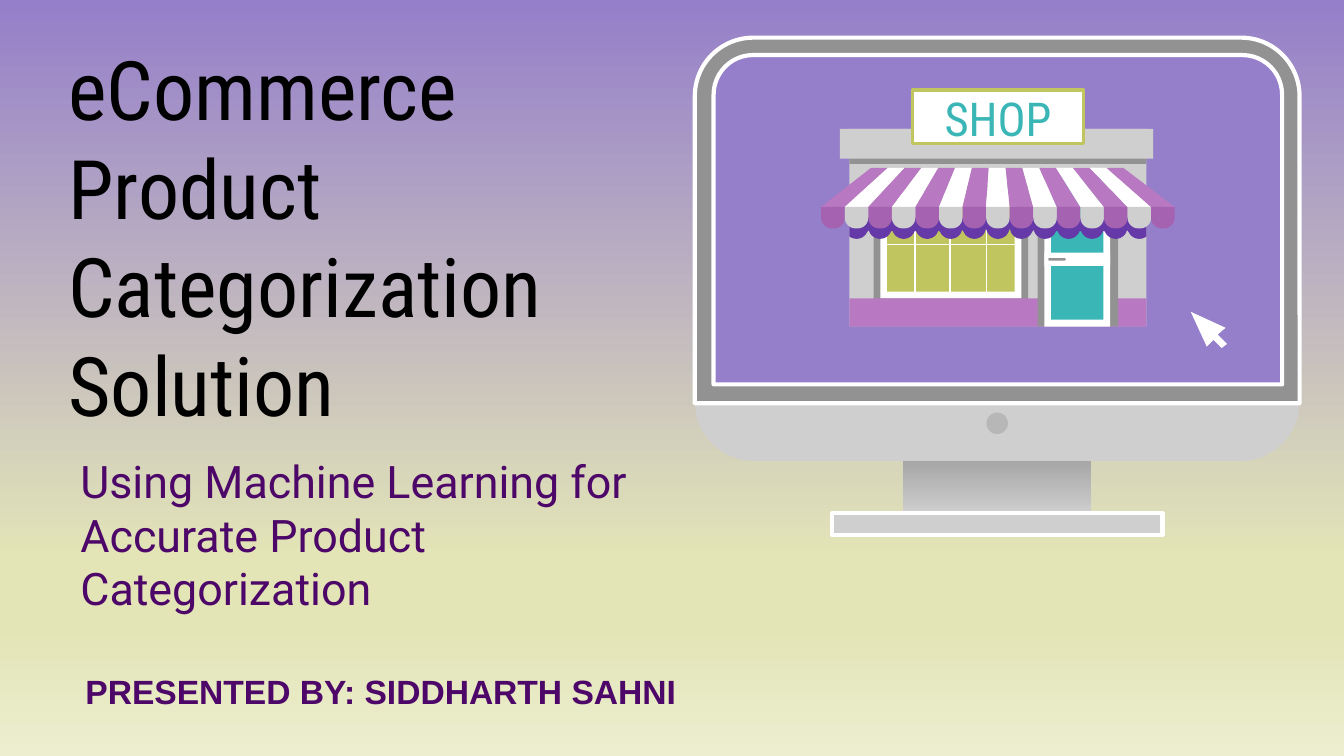
import copy
import math

import pptx
import pptx.dml.color
import pptx.enum.shapes
import pptx.enum.text
import pptx.oxml.ns
import pptx.util
from pptx.util import Inches

SHAPE = pptx.enum.shapes.MSO_SHAPE
ALIGN = pptx.enum.text.PP_ALIGN
ANCHOR = pptx.enum.text.MSO_ANCHOR

WHITE, SILVER, GRAY = "FFFFFF", "CFCFCF", "929292"
LAVENDER, ORCHID, PLUM, VIOLET = "957FCA", "B878C2", "A562B0", "6639A8"
TEAL, OLIVE, INK = "39B6B5", "C0C55F", "4C0768"

BACKGROUND = [(0, LAVENDER), (0.74, "E3E5B7"), (0.83, "E3E5B7"), (1, "ECEECF")]
STAND = [(0, "919191"), (1, "DDDDDD")]

TEXTS = [
    ("eCommerce Product Categorization Solution", (0.41, 0.28, 4.61, 2.95),
     "Roboto Condensed", 44, "000000", False, ALIGN.LEFT, ANCHOR.MIDDLE, 0.1),
    ("Using Machine Learning for Accurate Product Categorization", (0.5, 3.38, 4.5, 1.19),
     "Roboto", 24, INK, False, ALIGN.LEFT, ANCHOR.MIDDLE, 0.1),
    ("SHOP", (6.78, 0.68, 1.29, 0.39),
     "Roboto Condensed", 25, TEAL, False, ALIGN.CENTER, ANCHOR.MIDDLE, 0.1),
    ("PRESENTED BY: SIDDHARTH SAHNI", (0.5, 4.94, 4.67, 0.4),
     "Arial", 18, INK, True, ALIGN.CENTER, ANCHOR.TOP, 0.05),
]

MONITOR = [
    (SHAPE.RECTANGLE, (6.19, 3.82, 2.46, 0.16), SILVER, (WHITE, 2.25), ()),
    (SHAPE.ROUNDED_RECTANGLE, (5.17, 0.28, 4.5, 3.15), SILVER, None, (0.14,)),
    (SHAPE.ROUND_2_SAME_RECTANGLE, (5.17, 0.28, 4.5, 2.72), GRAY, (WHITE, 2.25), (0.16, 0)),
    (SHAPE.ROUND_2_SAME_RECTANGLE, (5.31, 0.41, 4.23, 2.45), LAVENDER, (WHITE, 2.25), (0.12, 0)),
    (SHAPE.OVAL, (7.34, 3.07, 0.16, 0.16), "B7B7B7", None, ()),
]
WALL_AND_WINDOW = [
    ((6.32, 0.96, 2.21, 1.47), SILVER),
    ((6.5, 1.38, 1.15, 0.89), GRAY),
    ((6.55, 1.43, 1.05, 0.79), WHITE),
    ((6.6, 1.48, 0.95, 0.69), OLIVE),
]
WINDOW_BARS = [(6.57, 1.82, 7.58, 1.82)] + [(x, 1.4, x, 2.2) for x in (6.81, 7.07, 7.34)]
BASE_AND_DOOR = [
    ((6.32, 2.22, 2.21, 0.21), ORCHID),
    ((7.72, 1.27, 0.6, 1.16), GRAY),
    ((7.77, 1.25, 0.49, 1.18), WHITE),
    ((7.82, 1.31, 0.39, 1.07), TEAL),
]
DOOR_RAIL = (7.77, 1.88, 0.49, 0.1)
DOOR_HANDLE = (7.8, 1.92, 0.13, 0.02)
ROOF = [((6.32, 1.04, 2.21, 0.18), GRAY), ((6.25, 0.96, 2.33, 0.22), SILVER)]
SIGN = (6.79, 0.67, 1.27, 0.4)
CURSOR = [(8.86, 2.32), (8.98, 2.58), (9.03, 2.53), (9.09, 2.59),
          (9.13, 2.56), (9.06, 2.49), (9.12, 2.44)]

STRIPES = 15
AWNING_TOP, AWNING_EDGE, FLAP_HEIGHT = 1.25, 1.54, 0.16
TOP_LEFT, TOP_RIGHT, EDGE_LEFT, EDGE_RIGHT = 6.48, 8.36, 6.11, 8.74

presentation = pptx.Presentation()
presentation.slide_width = Inches(10)
presentation.slide_height = Inches(10) * 9 // 16
slide = presentation.slides.add_slide(presentation.slide_layouts[6])


def color(value):
    return pptx.dml.color.RGBColor.from_string(value)


def paint_gradient(fill, element, stops):
    fill.gradient()
    fill.gradient_angle = 270
    stop_list = next(element.iter(pptx.oxml.ns.qn("a:gsLst")))
    for _ in stops[2:]:
        stop_list.append(copy.deepcopy(stop_list[0]))
    for stop, (position, value) in zip(fill.gradient_stops, stops):
        stop.position = position
        stop.color.rgb = color(value)


def paint(shape, fill, line=None):
    shape.shadow.inherit = False
    shape.fill.solid()
    shape.fill.fore_color.rgb = color(fill)
    if line:
        shape.line.color.rgb = color(line[0])
        shape.line.width = pptx.util.Pt(line[1])
    else:
        shape.line.fill.background()


def add_preset(kind, box, fill, line=None, adjustments=()):
    shape = slide.shapes.add_shape(kind, *map(Inches, box))
    for index, value in enumerate(adjustments):
        shape.adjustments[index] = value
    paint(shape, fill, line)
    return shape


def add_rectangles(rectangles):
    for box, fill in rectangles:
        add_preset(SHAPE.RECTANGLE, box, fill)


def add_polygon(points, fill):
    corners = [(Inches(x), Inches(y)) for x, y in points]
    builder = slide.shapes.build_freeform(*corners[0])
    builder.add_line_segments(corners[1:], close=True)
    paint(builder.convert_to_shape(), fill)


def add_bar(x1, y1, x2, y2):
    bar = slide.shapes.add_connector(
        pptx.enum.shapes.MSO_CONNECTOR.STRAIGHT, *map(Inches, (x1, y1, x2, y2)))
    bar.line.color.rgb = color(WHITE)
    bar.line.width = pptx.util.Pt(0.85)
    properties = bar.element.spPr
    properties.append(properties.makeelement(pptx.oxml.ns.qn("a:effectLst"), {}))


def add_text(text, box, font, size, fill, bold, align, anchor, inset):
    frame = slide.shapes.add_textbox(*map(Inches, box)).text_frame
    frame.word_wrap = True
    frame.vertical_anchor = anchor
    frame.margin_left = frame.margin_right = Inches(0.1)
    frame.margin_top = frame.margin_bottom = Inches(inset)
    paragraph = frame.paragraphs[0]
    paragraph.alignment = align
    run = paragraph.add_run()
    run.text = text
    run.font.name = font
    run.font.size = pptx.util.Pt(size)
    run.font.bold = bold
    run.font.color.rgb = color(fill)


def add_awning_shadow(left=6.32, right=8.53, top=1.62, middle=1.69, steps=200):
    width = (EDGE_RIGHT - EDGE_LEFT) / STRIPES
    radius = width / 2
    points = [(right, top), (left, top)]
    for step in range(steps + 1):
        x = left + (right - left) * step / steps
        offset = (x - EDGE_LEFT) % width - radius
        points.append((x, middle + math.sqrt(max(0, radius ** 2 - offset ** 2))))
    add_polygon(points, VIOLET)


def add_awning():
    top_step = (TOP_RIGHT - TOP_LEFT) / STRIPES
    edge_step = (EDGE_RIGHT - EDGE_LEFT) / STRIPES
    for index in range(STRIPES):
        top = TOP_LEFT + index * top_step
        edge = EDGE_LEFT + index * edge_step
        stripe, flap = (WHITE, SILVER) if index % 2 else (ORCHID, PLUM)
        add_polygon([(top, AWNING_TOP), (edge, AWNING_EDGE),
                     (edge + edge_step, AWNING_EDGE), (top + top_step, AWNING_TOP)], stripe)
        add_preset(SHAPE.ROUND_2_SAME_RECTANGLE, (edge, AWNING_EDGE, edge_step, FLAP_HEIGHT),
                   flap, None, (0, 0.5))


paint_gradient(slide.background.fill, slide.element, BACKGROUND)
stand = add_preset(SHAPE.RECTANGLE, (6.72, 3.23, 1.4, 0.73), SILVER)
paint_gradient(stand.fill, stand.element, STAND)
for part in MONITOR:
    add_preset(*part)
add_rectangles(WALL_AND_WINDOW)
for bar_ends in WINDOW_BARS:
    add_bar(*bar_ends)
add_rectangles(BASE_AND_DOOR)
add_awning_shadow()
add_preset(SHAPE.RECTANGLE, DOOR_RAIL, WHITE)
add_preset(SHAPE.ROUNDED_RECTANGLE, DOOR_HANDLE, GRAY, None, (0.5,))
add_rectangles(ROOF)
add_preset(SHAPE.RECTANGLE, SIGN, WHITE, (OLIVE, 1.75))
add_awning()
add_polygon(CURSOR, WHITE)
for entry in TEXTS:
    add_text(*entry)

presentation.save("out.pptx")
